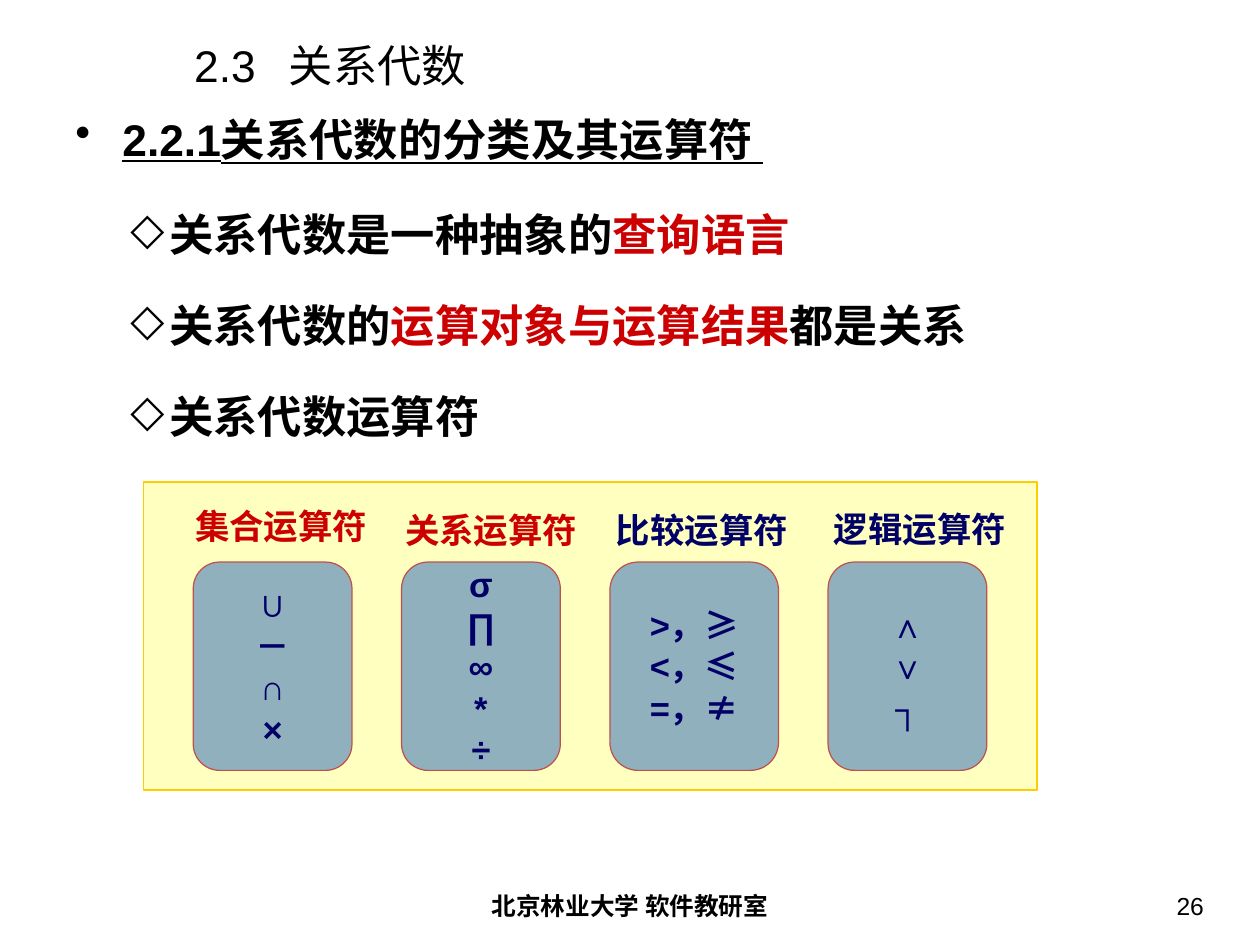
from lxml.etree import SubElement
from pptx import Presentation
from pptx.dml.color import RGBColor
from pptx.enum.lang import MSO_LANGUAGE_ID as Language
from pptx.enum.shapes import MSO_SHAPE as Shape
from pptx.enum.text import MSO_ANCHOR as Anchor, MSO_AUTO_SIZE as AutoSize, PP_ALIGN as Align
from pptx.oxml.ns import qn
from pptx.util import Pt

BLACK, RED, NAVY = "000000", "CC0000", "000066"


def color(value):
    return RGBColor.from_string(value)


class SlideBuilder:
    font_name = "Arial"

    def __init__(self, presentation):
        self.slide = presentation.slides.add_slide(presentation.slide_layouts[6])

    def frame(self, shape, wrap=True, anchor=Anchor.TOP):
        frame = shape.text_frame
        frame.word_wrap = wrap
        frame.vertical_anchor = anchor
        frame.margin_left = frame.margin_right = Pt(10.2)
        frame.margin_top = frame.margin_bottom = Pt(5.1)
        return frame

    def add_paragraphs(self, frame, paragraphs, size, bold=False, underline=False,
                       align=Align.LEFT, bullet=None, margin=0, indent=0,
                       line_spacing=None, space_before=0, tab=None):
        for index, runs in enumerate(paragraphs):
            paragraph = frame.add_paragraph() if index else frame.paragraphs[0]
            properties = paragraph._p.get_or_add_pPr()
            if bullet:
                properties.set("marL", str(Pt(margin)))
                properties.set("indent", str(Pt(indent)))
                bullet_color = SubElement(properties, qn("a:buClr"))
                SubElement(bullet_color, qn("a:srgbClr"), val=BLACK)
                SubElement(properties, qn("a:buChar"), char=bullet)
            if tab:
                stops = SubElement(properties, qn("a:tabLst"))
                SubElement(stops, qn("a:tab"), pos=str(Pt(tab)), algn="l")
            paragraph.alignment = align
            if line_spacing:
                paragraph.line_spacing = line_spacing
            if index:
                paragraph.space_before = Pt(space_before)
            for text, run_color in runs:
                run = paragraph.add_run()
                run.text = text
                font = run.font
                font.name = self.font_name
                font.size = Pt(size)
                font.bold = bold
                font.underline = underline
                font.language_id = Language.SIMPLIFIED_CHINESE
                font.color.rgb = color(run_color)

    def text(self, left, top, width, height, paragraphs, size,
             anchor=Anchor.TOP, wrap=True, **style):
        box = self.slide.shapes.add_textbox(Pt(left), Pt(top), Pt(width), Pt(height))
        frame = self.frame(box, wrap, anchor)
        if not wrap:
            frame.auto_size = AutoSize.SHAPE_TO_FIT_TEXT
        self.add_paragraphs(frame, paragraphs, size, **style)

    def panel(self, kind, left, top, width, height, fill, line, line_width):
        shape = self.slide.shapes.add_shape(kind, Pt(left), Pt(top), Pt(width), Pt(height))
        shape.shadow.inherit = False
        shape.fill.solid()
        shape.fill.fore_color.rgb = color(fill)
        fill_color = shape._element.spPr.find(qn("a:solidFill")).find(qn("a:srgbClr"))
        SubElement(fill_color, qn("a:alpha"), val="62000")
        shape.line.color.rgb = color(line)
        shape.line.width = Pt(line_width)
        return shape

    def operators(self, left, top, width, height, symbols):
        shape = self.panel(Shape.ROUNDED_RECTANGLE, left, top, width, height,
                           "4F81BD", "C0504D", 1)
        self.add_paragraphs(self.frame(shape, False, Anchor.MIDDLE),
                            [[(symbol, NAVY)] for symbol in symbols],
                            28, bold=True, align=Align.CENTER)


def main():
    presentation = Presentation()
    presentation.slide_width = Pt(1023.84)
    presentation.slide_height = Pt(767.52)
    builder = SlideBuilder(presentation)

    builder.text(349.9, 718.6, 324, 39.6, [[("北京林业大学 软件教研室", BLACK)]], 20,
                 bold=True, align=Align.CENTER)
    builder.text(749.5, 718.6, 239, 39.6, [[("26", BLACK)]], 20, align=Align.RIGHT)
    builder.text(147.6, 32.4, 851.8, 41, [[("2.3\t关系代数", BLACK)]], 36,
                 anchor=Anchor.MIDDLE, tab=77)

    points = [
        [("关系代数是一种抽象的", BLACK), ("查询语言", RED)],
        [("关系代数的", BLACK), ("运算对象与运算结果", RED), ("都是关系", BLACK)],
        [("关系代数运算符", BLACK)],
    ]
    builder.text(43.9, 141.8, 935.3, 225.4, points, 36, bold=True, bullet="◇",
                 margin=83.5, indent=-31.7, line_spacing=1.5, space_before=9)

    builder.panel(Shape.RECTANGLE, 116.6, 391.7, 725.8, 249.8, "FFFF99", "FFCC00", 1.5)

    groups = [
        ("集合运算符", RED, 148.3, 405.4, 129, ["∪", "－", "∩", "×"]),
        ("关系运算符", RED, 319, 408.2, 129, ["σ", "∏", "∞", "*", "÷"]),
        ("比较运算符", NAVY, 490.3, 408.2, 137, [">，≥", "<，≤", "=，≠"]),
        ("逻辑运算符", NAVY, 667.4, 407.5, 129, ["∧", "∨", "┐"]),
    ]
    left = 157
    for label, label_color, label_left, label_top, width, symbols in groups:
        builder.operators(left, 456.5, width, 169.2, symbols)
        builder.text(label_left, label_top, 166.3, 43.9, [[(label, label_color)]], 28,
                     wrap=False, bold=True)
        left += width + 40.3

    builder.text(51.1, 85.7, 921.6, 64.1, [[("2.2.1关系代数的分类及其运算符 ", BLACK)]], 36,
                 bold=True, underline=True, bullet="•", margin=38.2, indent=-38.2)

    presentation.save("out.pptx")


if __name__ == "__main__":
    main()
